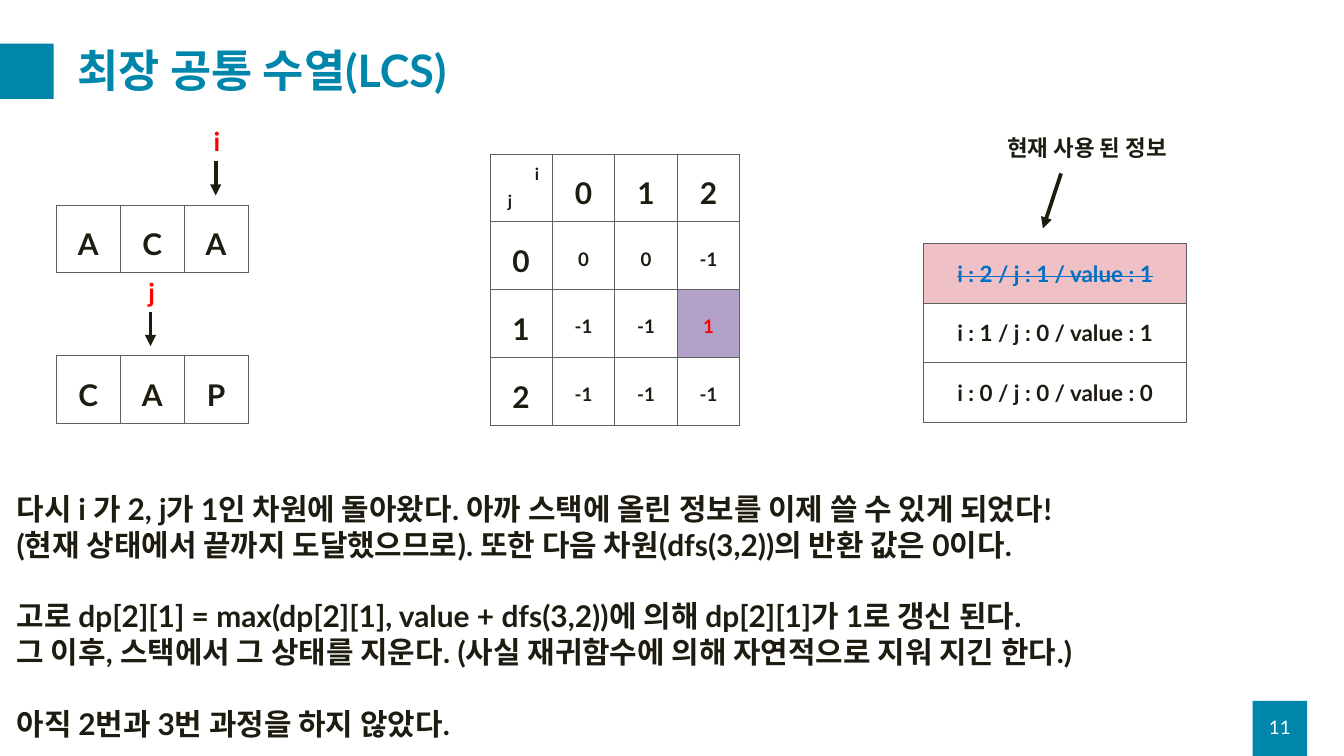
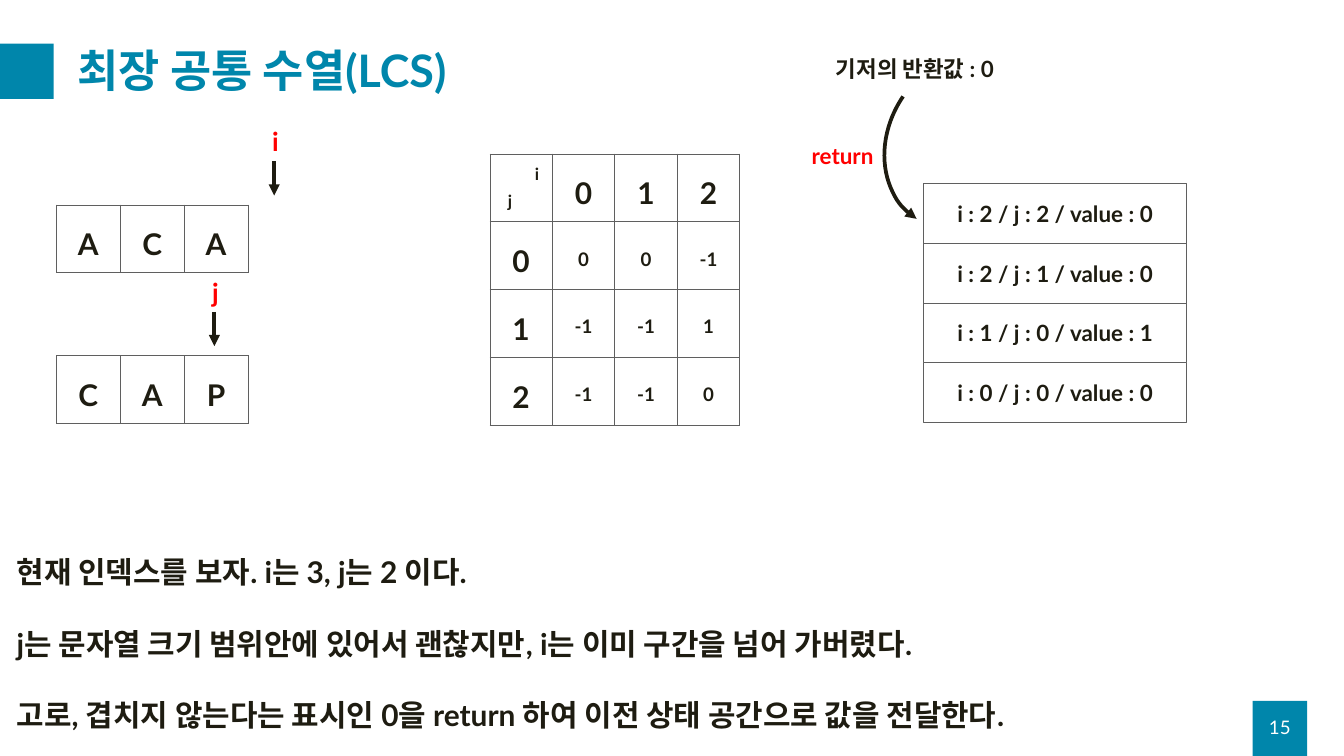
from lxml.etree import SubElement
from pptx import Presentation
from pptx.dml.color import RGBColor
from pptx.enum.shapes import MSO_CONNECTOR, MSO_SHAPE
from pptx.enum.text import MSO_ANCHOR, MSO_AUTO_SIZE, PP_ALIGN
from pptx.oxml.ns import qn
from pptx.util import Inches, Pt

TEAL = RGBColor(0x00, 0x86, 0xAB)
INK = RGBColor(0x1E, 0x1C, 0x11)
RED = RGBColor(0xFF, 0x00, 0x00)
BLUE = RGBColor(0x00, 0x70, 0xC0)
WHITE = RGBColor(0xFF, 0xFF, 0xFF)
PINK = RGBColor(0xF0, 0xC0, 0xC7)
PURPLE = RGBColor(0xB3, 0xA2, 0xC7)
GREY = RGBColor(0x5F, 0x5F, 0x5F)

FONT = "Lato"
TITLE = "최장 공통 수열(LCS)"
WORDS = [("ACA", 3.05), ("CAP", 5.29)]
CELL_W, DP_W, ROW_H = 0.95, 0.93, 1.01
STACK_LEFT, STACK_BOTTOM, STACK_W, STACK_H = 13.74, 6.29, 3.92, 0.89
BLOCK_GAP = 38.4

# Explanation: blocks of lines; stack: entries from the bottom up
PAGES = [
    {
        "number": "11",
        "i_x": 3.21, "j_x": 2.24,
        "dp": [["0", "0", "-1"], ["-1", "-1", "1"], ["-1", "-1", "-1"]],
        "updated": (1, 2),
        "stack": [(0, 0, 0), (1, 0, 1), (2, 1, 1)],
        "popped": (2, 1, 1),
        "top": 7.25, "height": 3.87,
        "explanation": [
            ["다시 i 가 2, j가 1인 차원에 돌아왔다. 아까 스택에 올린 정보를 이제 쓸 수 있게 되었다!",
             "(현재 상태에서 끝까지 도달했으므로). 또한 다음 차원(dfs(3,2))의 반환 값은 0이다."],
            ["고로 dp[2][1] = max(dp[2][1], value + dfs(3,2))에 의해 dp[2][1]가 1로 갱신 된다.",
             "그 이후, 스택에서 그 상태를 지운다. (사실 재귀함수에 의해 자연적으로 지워 지긴 한다.)"],
            ["아직 2번과 3번 과정을 하지 않았다."],
        ],
    },
    {
        "number": "15",
        "i_x": 4.08, "j_x": 3.19,
        "dp": [["0", "0", "-1"], ["-1", "-1", "1"], ["-1", "-1", "0"]],
        "updated": None,
        "stack": [(0, 0, 0), (1, 0, 1), (2, 1, 0), (2, 2, 0)],
        "popped": None,
        "top": 8.19, "height": 2.79,
        "explanation": [
            ["현재 인덱스를 보자. i는 3, j는 2 이다."],
            ["j는 문자열 크기 범위안에 있어서 괜찮지만, i는 이미 구간을 넘어 가버렸다."],
            ["고로, 겹치지 않는다는 표시인 0을 return 하여 이전 상태 공간으로 값을 전달한다."],
        ],
    },
]


def box(left, top, width, height):
    return [Inches(length) for length in (left, top, width, height)]


def write(paragraph, text, size, color=INK, bold=True, **layout):
    run = paragraph.add_run()
    run.text = text
    run.font.color.rgb = color
    for name, value in {"name": FONT, "size": Pt(size), "bold": bold}.items():
        setattr(run.font, name, value)
    for name, value in layout.items():
        setattr(paragraph, name, value)
    return run


def add_label(slide, text, place, size, color=INK, anchor=MSO_ANCHOR.TOP,
              grow=True, bold=True, **layout):
    frame = slide.shapes.add_textbox(*box(*place)).text_frame
    settings = {
        "word_wrap": True,
        "vertical_anchor": anchor,
        "auto_size": MSO_AUTO_SIZE.SHAPE_TO_FIT_TEXT if grow else MSO_AUTO_SIZE.NONE,
    }
    for name, value in settings.items():
        setattr(frame, name, value)
    write(frame.paragraphs[0], text, size, color, bold, **layout)
    return frame


def add_block(slide, place, fill, outline=None):
    block = slide.shapes.add_shape(MSO_SHAPE.RECTANGLE, *box(*place))
    block.shadow.inherit = False
    block.fill.solid()
    block.fill.fore_color.rgb = fill
    if outline is None:
        block.line.fill.background()
    else:
        block.line.color.rgb = outline
        block.line.width = Pt(1)
    return block


def style_arrow(arrow, end):
    arrow.line.color.rgb = INK
    arrow.line.width = Pt(4)
    SubElement(arrow.line._get_or_add_ln(), qn(f"a:{end}"), type="triangle")


def add_arrow(slide, start, finish):
    arrow = slide.shapes.add_connector(
        MSO_CONNECTOR.STRAIGHT, *box(*start, *finish))
    style_arrow(arrow, "tailEnd")
    SubElement(arrow._element.spPr, qn("a:effectLst"))


def add_borders(cell):
    properties = cell._tc.get_or_add_tcPr()
    for position, side in enumerate(("lnL", "lnR", "lnT", "lnB")):
        border = SubElement(properties, qn(f"a:{side}"), w=str(Pt(1)))
        fill = SubElement(border, qn("a:solidFill"))
        SubElement(fill, qn("a:srgbClr"), val=str(GREY))
        properties.insert(position, border)


def add_grid(slide, rows, left, top, cell_width, has_header=False, updated=None):
    row_count, column_count = len(rows), len(rows[0])
    place = box(left, top, cell_width * column_count, ROW_H * row_count)
    grid = slide.shapes.add_table(row_count, column_count, *place).table
    grid.first_row = grid.horz_banding = False
    for r, row in enumerate(rows):
        for c, text in enumerate(row):
            cell = grid.cell(r, c)
            cell.fill.background()
            is_value = has_header and r > 0 and c > 0
            is_updated = is_value and (r - 1, c - 1) == updated
            if is_updated:
                cell.fill.solid()
                cell.fill.fore_color.rgb = PURPLE
            add_borders(cell)
            if text:
                write(cell.text_frame.paragraphs[0], text,
                      20 if is_value else 32, RED if is_updated else INK,
                      alignment=PP_ALIGN.CENTER,
                      line_spacing=2.0 if is_value else 1.5)


def add_frame(slide, number):
    add_block(slide, (18.64, 10.43, 0.81, 0.82), TEAL)
    add_block(slide, (-0.01, 0.65, 0.81, 0.82), TEAL)
    add_label(slide, TITLE, (1.06, 0.5, 18.25, 1.18), 48, TEAL,
              MSO_ANCHOR.MIDDLE, grow=False, line_spacing=0.9)
    add_label(slide, number, (18.64, 10.52, 0.81, 0.6), 20, WHITE,
              MSO_ANCHOR.MIDDLE, grow=False, bold=False,
              alignment=PP_ALIGN.CENTER)


def add_explanation(slide, page):
    blocks = page["explanation"]
    frame = add_label(slide, blocks[0][0],
                      (0.15, page["top"], 19.16, page["height"]), 32)
    for b, lines in enumerate(blocks):
        for n, line in enumerate(lines):
            if b or n:
                write(frame.add_paragraph(), line, 32,
                      space_before=Pt(0 if n else BLOCK_GAP))


def add_words(slide, page):
    for word, top in WORDS:
        add_grid(slide, [list(word)], 0.84, top, CELL_W)
    for index, (_, top) in zip("ij", WORDS):
        x = page[f"{index}_x"]
        add_arrow(slide, (x, top - 0.65), (x, top - 0.14))
        add_label(slide, index, (x - 0.13, top - 1.23, 1.06, 0.57), 28, RED)


def add_dp(slide, page):
    rows = [["", "0", "1", "2"]]
    rows += [[str(j), *values] for j, values in enumerate(page["dp"])]
    add_grid(slide, rows, 7.29, 2.29, DP_W, True, page["updated"])
    add_label(slide, "i", (7.86, 2.39, 1.06, 0.4), 18)
    add_label(slide, "j", (7.46, 2.79, 1.06, 0.4), 18)


def add_stack(slide, page):
    for level, state in enumerate(page["stack"], start=1):
        popped = state == page["popped"]
        place = (STACK_LEFT, STACK_BOTTOM - level * STACK_H, STACK_W, STACK_H)
        entry = add_block(slide, place, PINK if popped else WHITE, GREY)
        entry.text_frame.vertical_anchor = MSO_ANCHOR.MIDDLE
        i, j, value = state
        run = write(entry.text_frame.paragraphs[0],
                    f"i : {i} / j : {j} / value : {value}", 24,
                    BLUE if popped else INK, alignment=PP_ALIGN.CENTER)
        if popped:
            run._r.get_or_add_rPr().set("strike", "sngStrike")


def add_used_note(slide):
    add_arrow(slide, (15.79, 2.58), (15.52, 3.4))
    add_label(slide, "현재 사용 된 정보", (14.89, 1.94, 4.07, 0.5), 24)


def add_return_note(slide):
    add_label(slide, "기저의 반환값 : 0", (12.34, 0.77, 4.07, 0.5), 24)
    add_label(slide, "return", (11.98, 2.06, 1.31, 0.5), 24, RED)
    curve = slide.shapes.add_shape(MSO_SHAPE.ARC, *box(13.23, 0.72, 2.29, 2.75))
    curve.adjustments[0], curve.adjustments[1] = 162, 1.7
    curve.rotation = 212.3
    curve.shadow.inherit = False
    curve.fill.background()
    style_arrow(curve, "headEnd")


def main():
    deck = Presentation()
    deck.slide_width, deck.slide_height = Inches(20), Inches(11.25)
    for page, add_note in zip(PAGES, (add_used_note, add_return_note)):
        slide = deck.slides.add_slide(deck.slide_layouts[6])
        add_frame(slide, page["number"])
        add_explanation(slide, page)
        add_words(slide, page)
        add_dp(slide, page)
        add_stack(slide, page)
        add_note(slide)
    deck.save("out.pptx")


if __name__ == "__main__":
    main()
